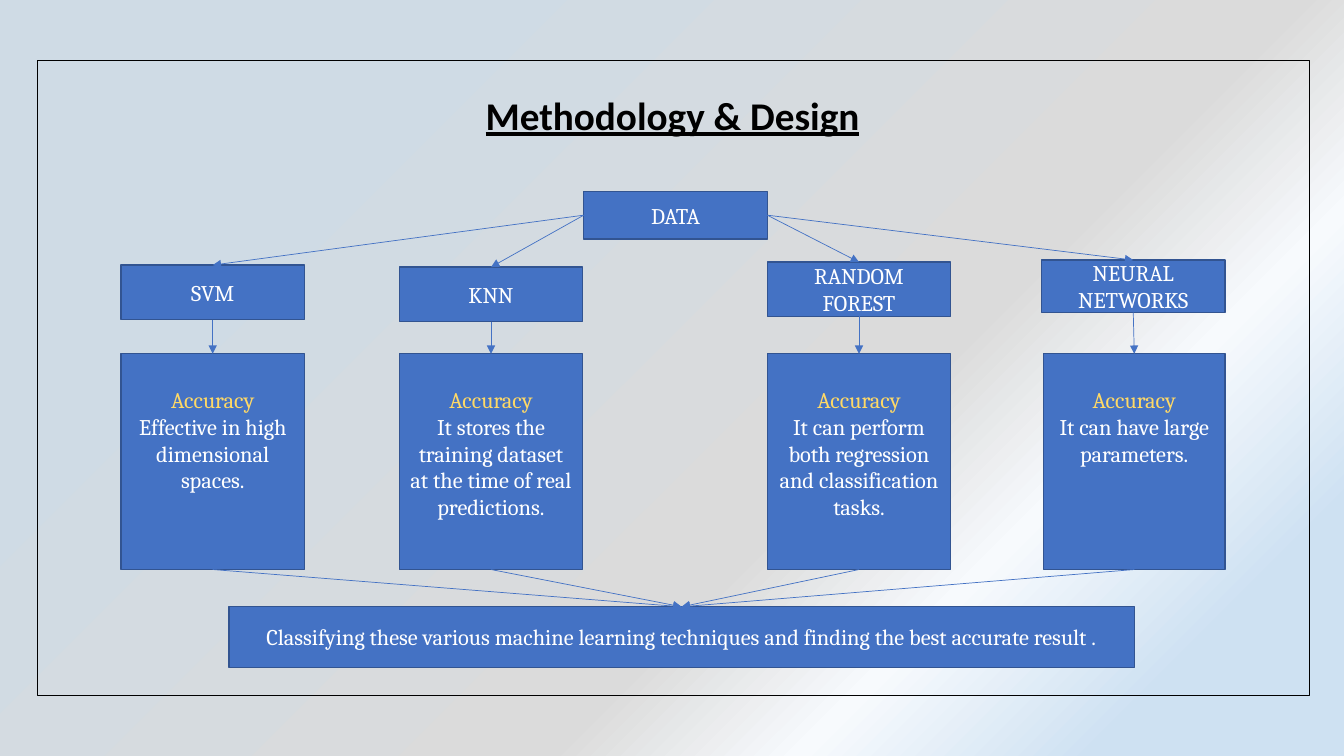
from dataclasses import dataclass

from pptx import Presentation
from pptx.dml.color import RGBColor
from pptx.enum.shapes import MSO_CONNECTOR, MSO_SHAPE
from pptx.enum.text import MSO_ANCHOR, PP_ALIGN
from pptx.oxml import parse_xml
from pptx.oxml.ns import nsdecls, qn
from pptx.util import Inches, Pt

RECTANGLE = MSO_SHAPE.RECTANGLE
STRAIGHT = MSO_CONNECTOR.STRAIGHT
CENTER = PP_ALIGN.CENTER
TOP, MIDDLE = MSO_ANCHOR.TOP, MSO_ANCHOR.MIDDLE
TOP_SITE, LEFT_SITE, BOTTOM_SITE, RIGHT_SITE = range(4)


@dataclass(frozen=True)
class Theme:
    box_fill: str = "4472C4"
    box_line: str = "325491"
    body_color: str = "FFFFFF"
    accent_color: str = "FFD966"
    dark: str = "000000"
    body_font: str = "Cambria"
    title_font: str = "Calibri"
    body_size: float = 16
    title_size: float = 28
    border_width: float = 1
    arrow_width: float = 0.5
    gradient: tuple = ((12, "CEE1F2"), (26, "F7FAFD"), (38, "DBDBDB"), (80, "CFDBE5"))


class DiagramSlide:
    def __init__(self, slide, theme):
        self.slide = slide
        self.theme = theme

    def background(self):
        stops = "".join(
            f'<a:gs pos="{position * 1000}"><a:srgbClr val="{color}"/></a:gs>'
            for position, color in self.theme.gradient
        )
        background = parse_xml(
            f'<p:bg {nsdecls("p", "a")}><p:bgPr><a:gradFill rotWithShape="1">'
            f"<a:gsLst>{stops}</a:gsLst>"
            '<a:path path="circle"><a:fillToRect l="100000" t="100000"/></a:path>'
            '<a:tileRect r="-100000" b="-100000"/></a:gradFill>'
            "<a:effectLst/></p:bgPr></p:bg>"
        )
        self.slide.element.cSld.insert(0, background)

    def set_text(self, shape, lines, anchor=MIDDLE, **formats):
        frame = shape.text_frame
        frame.word_wrap = True
        frame.vertical_anchor = anchor
        values = {"name": self.theme.body_font, "size": Pt(self.theme.body_size), **formats}
        for index, (text, color) in enumerate(lines):
            paragraph = frame.add_paragraph() if index else frame.paragraphs[0]
            paragraph.alignment = CENTER
            run = paragraph.add_run()
            run.text = text
            run.font.color.rgb = RGBColor.from_string(color)
            for name, value in values.items():
                setattr(run.font, name, value)

    def title(self, text, bounds):
        shape = self.slide.shapes.add_textbox(*map(Inches, bounds))
        self.set_text(
            shape, [(text, self.theme.dark)], name=self.theme.title_font,
            size=Pt(self.theme.title_size), bold=True, underline=True,
        )
        shape.text_frame.paragraphs[0].line_spacing = 0.9

    def rectangle(self, bounds, line_color):
        shape = self.slide.shapes.add_shape(RECTANGLE, *map(Inches, bounds))
        shape.shadow.inherit = False
        shape.line.color.rgb = RGBColor.from_string(line_color)
        shape.line.width = Pt(self.theme.border_width)
        return shape

    def frame(self, bounds):
        self.rectangle(bounds, self.theme.dark).fill.background()

    def filled_box(self, bounds):
        shape = self.rectangle(bounds, self.theme.box_line)
        shape.fill.solid()
        shape.fill.fore_color.rgb = RGBColor.from_string(self.theme.box_fill)
        return shape

    def label_box(self, text, bounds):
        shape = self.filled_box(bounds)
        self.set_text(shape, [(text, self.theme.body_color)])
        return shape

    def detail_box(self, heading, text, bounds):
        shape = self.filled_box(bounds)
        lines = [(heading, self.theme.accent_color), (text, self.theme.body_color)]
        self.set_text(shape, lines, anchor=TOP)
        shape.text_frame.margin_top = Inches(0.32)
        return shape

    def arrow(self, source, source_site, target):
        connector = self.slide.shapes.add_connector(STRAIGHT, 0, 0, 0, 0)
        connector.begin_connect(source, source_site)
        connector.end_connect(target, TOP_SITE)
        connector.line.color.rgb = RGBColor.from_string(self.theme.box_fill)
        connector.line.width = Pt(self.theme.arrow_width)
        properties = connector.element.spPr
        properties.find(qn("a:ln")).append(
            parse_xml(f'<a:tailEnd {nsdecls("a")} type="triangle"/>')
        )
        properties.append(parse_xml(f'<a:effectLst {nsdecls("a")}/>'))


METHODS = [
    ("SVM", (1.2, 2.63, 1.82, 0.54), LEFT_SITE,
     "Effective in high dimensional spaces.", (1.2, 1.82)),
    ("KNN", (3.96, 2.65, 1.82, 0.54), LEFT_SITE,
     "It stores the training dataset at the time of real predictions.", (3.96, 1.82)),
    ("RANDOM FOREST", (7.61, 2.6, 1.82, 0.54), RIGHT_SITE,
     "It can perform both regression and classification tasks.", (7.61, 1.82)),
    ("NEURAL NETWORKS", (10.33, 2.58, 1.82, 0.52), RIGHT_SITE,
     "It can have large parameters.", (10.35, 1.8)),
]


def main():
    presentation = Presentation()
    presentation.slide_width = Inches(13.33)
    presentation.slide_height = Inches(7.5)
    slide = presentation.slides.add_slide(presentation.slide_layouts[6])
    diagram = DiagramSlide(slide, Theme())

    diagram.background()
    diagram.title("Methodology & Design", (0.92, 0.79, 11.5, 0.75))
    data = diagram.label_box("DATA", (5.79, 1.9, 1.82, 0.47))
    result = diagram.label_box(
        "Classifying these various machine learning techniques "
        "and finding the best accurate result .",
        (2.27, 6.02, 8.98, 0.6),
    )
    for name, bounds, data_site, description, (left, width) in METHODS:
        method = diagram.label_box(name, bounds)
        detail = diagram.detail_box("Accuracy", description, (left, 3.51, width, 2.14))
        diagram.arrow(data, data_site, method)
        diagram.arrow(method, BOTTOM_SITE, detail)
        diagram.arrow(detail, BOTTOM_SITE, result)
    diagram.frame((0.37, 0.6, 12.62, 6.3))
    presentation.save("out.pptx")


if __name__ == "__main__":
    main()
